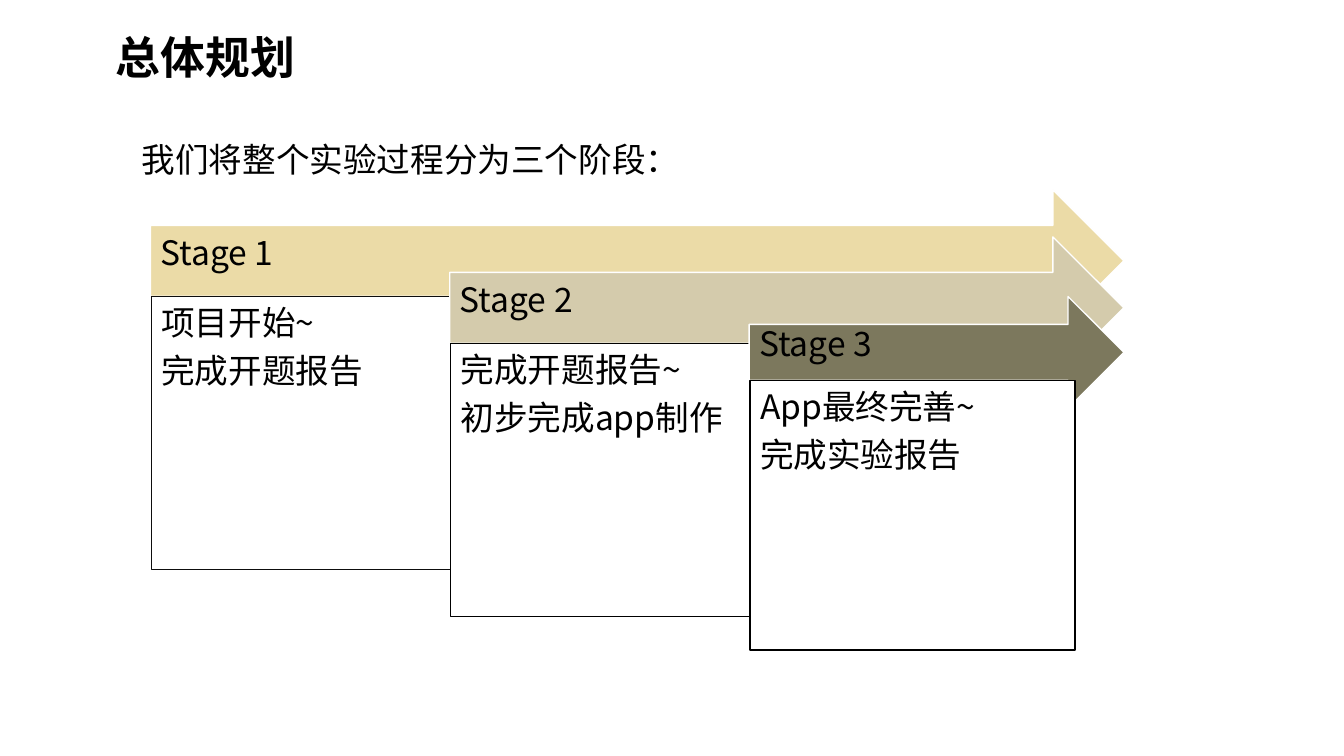
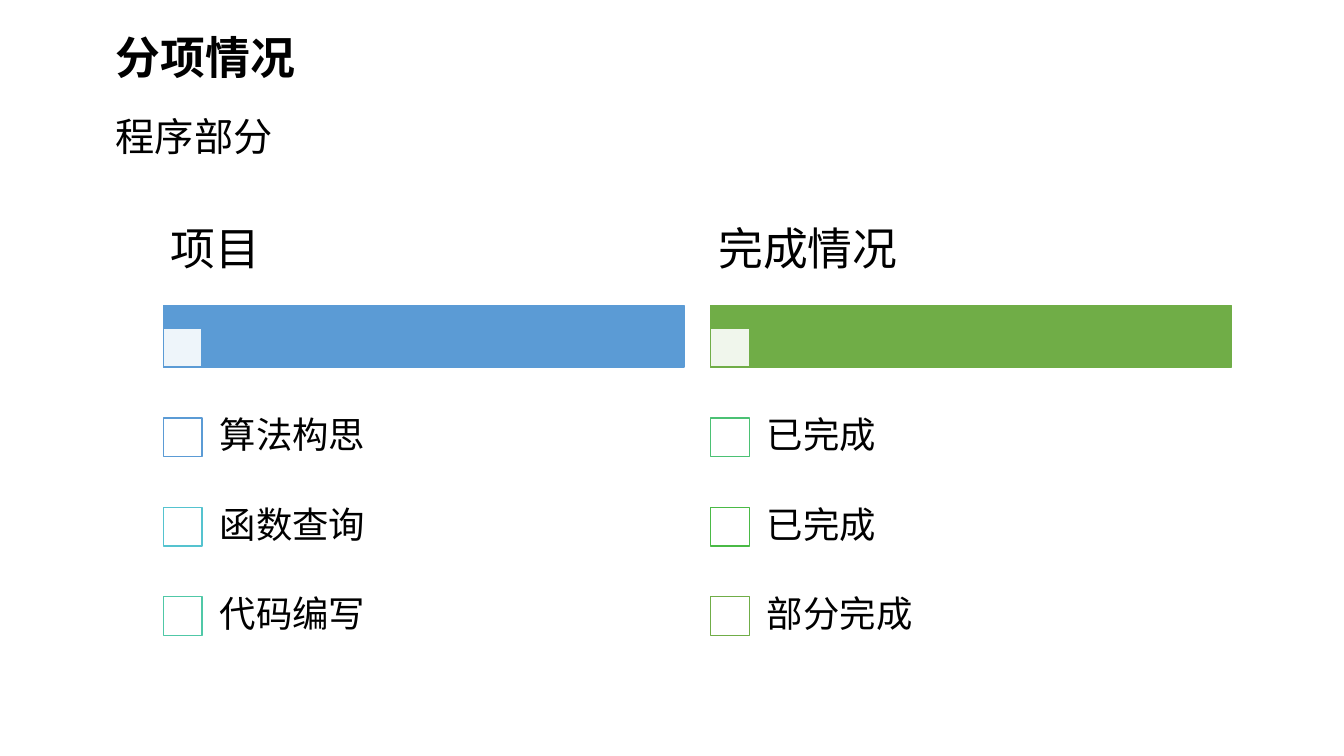
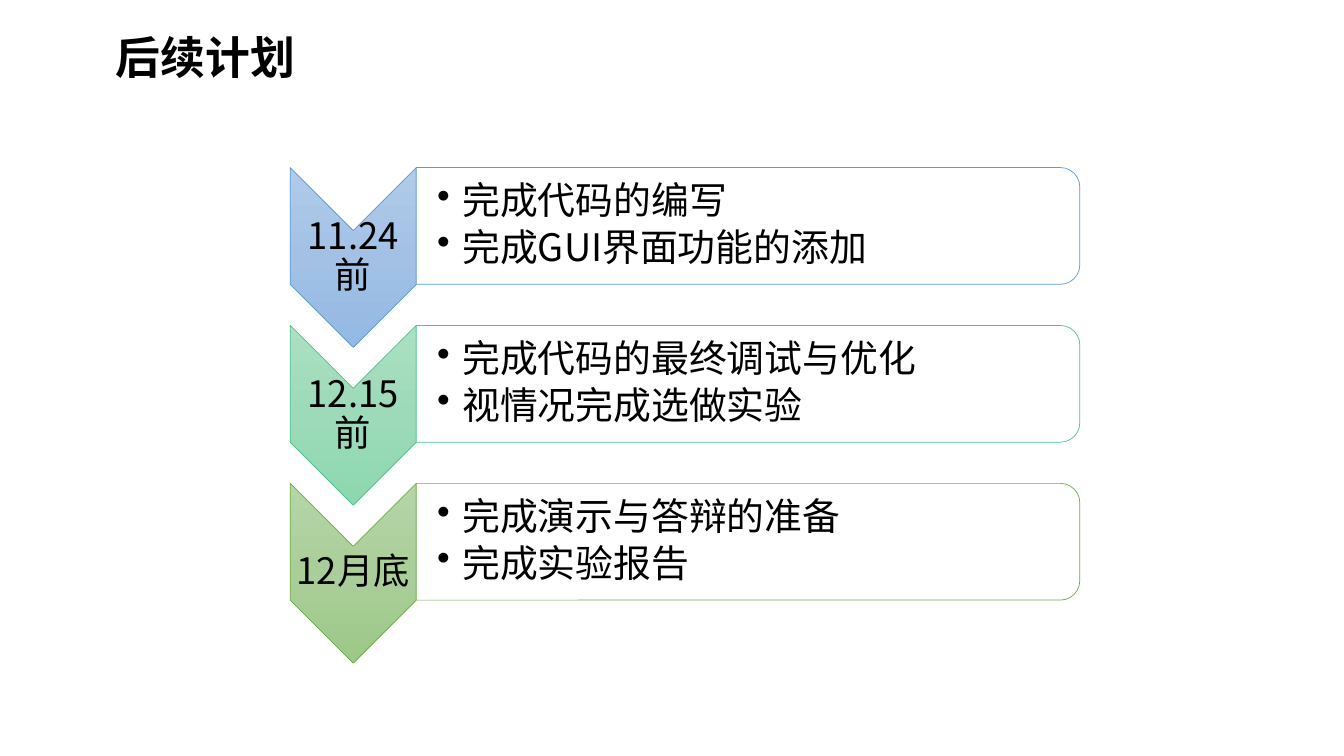
from dataclasses import dataclass

from lxml.etree import SubElement
from pptx import Presentation
from pptx.dml.color import RGBColor
from pptx.enum.shapes import MSO_SHAPE
from pptx.enum.text import MSO_ANCHOR, PP_ALIGN
from pptx.oxml import parse_xml
from pptx.oxml.ns import nsdecls, qn
from pptx.util import Emu, Inches, Pt


@dataclass(frozen=True)
class Theme:
    black: str = "000000"
    white: str = "FFFFFF"
    blue: str = "5B9BD5"
    green: str = "70AD47"
    mint: str = "4DC58D"
    font: str = "Noto Sans CJK SC"
    title_font: str = "Arial"
    title: int = 32
    subtitle: int = 28
    bullet: int = 27
    item: int = 26
    body: int = 24


T = Theme()
COLS, ROWS = 160, 90
CELL = Inches(7.5) / ROWS  # square grid cells


def add(s, kind, box, fill=None, line=None, width=1, alpha=None, turned=False):
    """Add a preset shape (or a text box if kind is None) at box, in grid cells.

    A turned shape is rotated by 90 degrees and still covers box.
    """
    left, top, w, h = box
    if turned:
        left, top, w, h = left + (w - h) / 2, top + (h - w) / 2, h, w
    place = [Emu(round(v * CELL)) for v in (left, top, w, h)]
    if kind is None:
        return s.shapes.add_textbox(*place)
    sp = s.shapes.add_shape(kind, *place)
    sp.shadow.inherit = False
    sp.rotation = 90 if turned else 0
    sp.line.color.rgb = RGBColor.from_string(line)
    sp.line.width = Pt(width)
    if isinstance(fill, tuple):
        stops = "".join(f'<a:gs pos="{i * 50000}"><a:srgbClr val="{c}"/></a:gs>'
                        for i, c in enumerate(fill))
        sp.fill.background()
        no_fill = sp._element.spPr.find(qn("a:noFill"))
        no_fill.getparent().replace(no_fill, parse_xml(
            f'<a:gradFill {nsdecls("a")} rotWithShape="0"><a:gsLst>{stops}</a:gsLst>'
            '<a:lin ang="5400000" scaled="0"/></a:gradFill>'))
    else:
        sp.fill.solid()
        sp.fill.fore_color.rgb = RGBColor.from_string(fill)
        if alpha:
            color = sp._element.spPr.find(qn("a:solidFill"))[0]
            SubElement(color, qn("a:alpha"), val=str(alpha * 1000))
    return sp


def write(sp, lines, size, after=0, insets=(1.2, 0.6, 1.2, 0.6), middle=False,
          align=PP_ALIGN.LEFT, bullet=False, title=False):
    """Fill sp with paragraphs; after is the space after each, in percent."""
    tf = sp.text_frame
    tf.word_wrap = True
    tf.vertical_anchor = MSO_ANCHOR.MIDDLE if middle else MSO_ANCHOR.TOP
    tf.margin_left, tf.margin_top, tf.margin_right, tf.margin_bottom = (
        Emu(round(v * CELL)) for v in insets)
    tf.text = "\n".join(lines)
    for p in tf.paragraphs:
        p.alignment = align
        if after:
            p.line_spacing = 0.9
            p.space_after = Pt(0)
            space = p._p.pPr.find(qn("a:spcAft"))
            space.remove(space[0])
            SubElement(space, qn("a:spcPct"), val=str(after * 1000))
        if bullet:
            p.level = 1
            p._p.pPr.set("marL", str(Inches(0.25)))
            p._p.pPr.set("indent", str(-Inches(0.25)))
            SubElement(p._p.pPr, qn("a:buChar"), char="•")
        for r in p.runs:
            r.font.size = Pt(size)
            r.font.bold = title
            r.font.color.rgb = RGBColor.from_string(T.black)
            r.font.name = T.title_font if title else T.font
            SubElement(r._r.rPr, qn("a:ea"), typeface=T.font)


prs = Presentation()
prs.slide_width = Emu(round(COLS * CELL))
prs.slide_height = Emu(round(ROWS * CELL))
slides = []
for heading in ("总体规划", "分项情况", "后续计划"):
    s = prs.slides.add_slide(prs.slide_layouts[6])
    write(add(s, None, (12.6, 2.9, 37.9, 7.7)), [heading], T.title, title=True)
    slides.append(s)
overview, progress, schedule = slides

# Overview: three overlapping stage arrows, each with a box below its shaft
write(add(overview, None, (15.7, 16, 65.5, 6)), ["我们将整个实验过程分为三个阶段："], T.body)
stages = [
    (22.6, 16.9, "EBDBA7", "0D0D0D", (35.7, 32.5), ["项目开始~", "完成开题报告"]),
    (28.2, 16.9, "D4CBAC", T.black, (35.7, 32.5), ["完成开题报告~", "初步完成app制作"]),
    (35.3, 13.3, "7C785D", T.black, (38.7, 32.1), ["App最终完善~", "完成实验报告"]),
]
stage_left, stage_step, arrow_tip = 17.9, 35.64, 133.8
for i, (top, height, fill, line, size, lines) in enumerate(stages):
    left = stage_left + i * stage_step
    arrow = add(overview, MSO_SHAPE.RIGHT_ARROW, (left, top, arrow_tip - left, height),
                fill, T.white)
    write(arrow, [f"Stage {i + 1}"], T.body, 35, (1.2, 1.2, 1.2, 2.7), middle=True)
    box = add(overview, MSO_SHAPE.RECTANGLE, (left + 0.12, top + height * 0.75, *size),
              T.white, line)
    write(box, lines, T.body, 35, (1.2,) * 4)

# Progress: two columns, each a heading, a bar and three check boxes
write(add(progress, None, (12.6, 12.8, 45.5, 6.8)), ["程序部分"], T.subtitle)
columns = [
    ("项目", T.blue, [("算法构思", T.blue), ("函数查询", "55C3CF"), ("代码编写", "50C8A7")]),
    ("完成情况", T.green, [("已完成", "4BC174"), ("已完成", "4ABA46"), ("部分完成", T.green)]),
]
col_width, check, item_top, item_height = 62, 4.6, 46.7, 10.64
for i, (heading, color, items) in enumerate(columns):
    left = 19.45 + i * 65.15
    add(progress, MSO_SHAPE.RECTANGLE, (left, 36.4, col_width, 7.3), color, color)
    add(progress, MSO_SHAPE.RECTANGLE, (left, 39.1, check, check), T.white, color, alpha=90)
    write(add(progress, None, (left, 23.3, col_width, 13.1)), [heading], T.title, 35,
          (0.9, 0.5, 0.9, 0.5), middle=True)
    for j, (text, outline) in enumerate(items):
        top = item_top + j * item_height
        add(progress, MSO_SHAPE.RECTANGLE, (left, top + 3.05, check, check), T.white, outline)
        write(add(progress, None, (left + 4.3, top, col_width - 4.3, item_height)), [text],
              T.item, 35, (2.4,) * 4, middle=True)

# Schedule: a chevron with the date and a panel with the tasks in each row
steps = [
    ("11.24前", T.blue, ("B1CBE9", "A3C1E5", "93B9E4"),
     ["完成代码的编写", "完成GUI界面功能的添加"]),
    ("12.15前", T.mint, ("ABE0C3", "9DDAB9", "8CD8AF"),
     ["完成代码的最终调试与优化", "视情况完成选做实验"]),
    ("12月底", T.green, ("B5D5A7", "AACE9A", "9CC987"),
     ["完成演示与答辩的准备", "完成实验报告"]),
]
date_left, date_width = 34.55, 15
panel_left = date_left + date_width
for i, (date, color, shades, tasks) in enumerate(steps):
    top = 19.95 + i * 18.8
    add(schedule, MSO_SHAPE.CHEVRON, (date_left, top, date_width, 21.4), shades, color, 0.5,
        turned=True)
    write(add(schedule, None, (date_left, top + 7.45, date_width, 6.4)), [date], T.item, 35,
          (0.24,) * 4, middle=True, align=PP_ALIGN.CENTER)
    add(schedule, MSO_SHAPE.ROUND_2_SAME_RECTANGLE, (panel_left, top, 79, 13.9), T.white,
        color, 0.5, alpha=90, turned=True)
    write(add(schedule, None, (panel_left, top + 0.7, 78.3, 12.5)), tasks, T.bullet, 15,
          (2.5, 0.24, 0.24, 0.24), middle=True, bullet=True)

prs.save("out.pptx")
